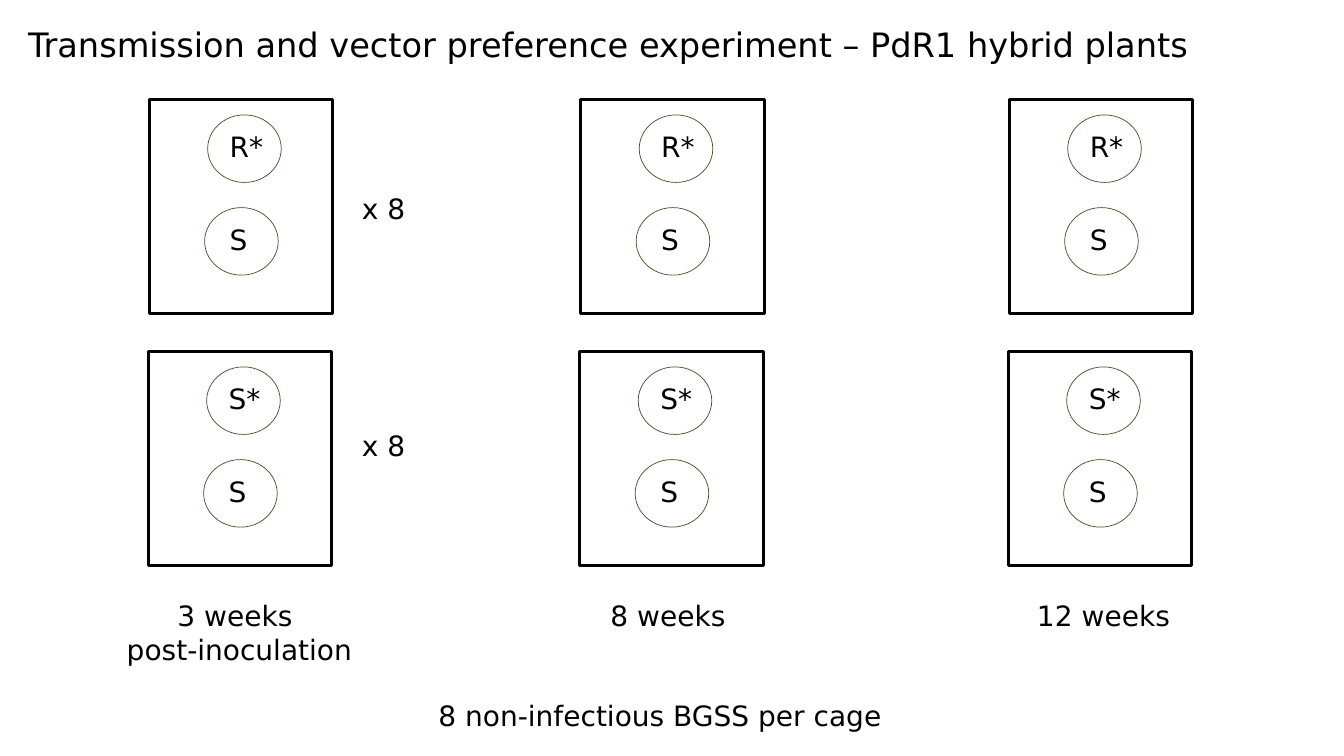
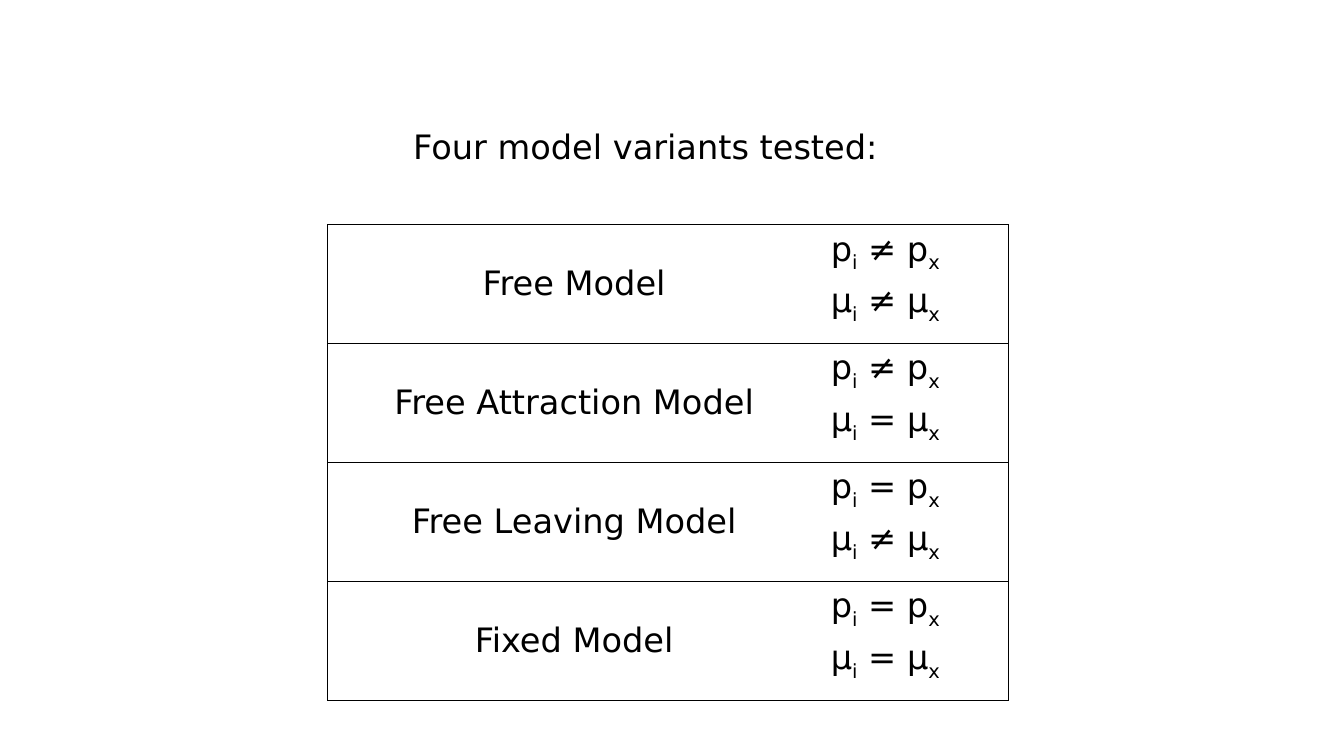
from dataclasses import dataclass

from lxml.etree import SubElement
from pptx import Presentation
from pptx.dml.color import RGBColor
from pptx.enum.shapes import MSO_SHAPE
from pptx.enum.text import MSO_ANCHOR, MSO_AUTO_SIZE, PP_ALIGN
from pptx.oxml import parse_xml
from pptx.oxml.ns import nsdecls, qn
from pptx.util import Inches, Pt


@dataclass(frozen=True)
class Theme:
    font: str = "DejaVu Sans"
    ink: str = "000000"
    leaf: str = "385723"
    head: int = 24
    body: int = 20
    frame: float = 2.25
    ring: float = 0.5
    rule: int = 1


LOOK = Theme()


# Shared helpers
def add_run(para, text, size, sub=False):
    run = para.add_run()
    run.text = text
    run.font.name = LOOK.font
    run.font.size = Pt(size)
    run.font.color.rgb = RGBColor.from_string(LOOK.ink)
    if sub:
        run.font.size = Pt(size)
        run._r.get_or_add_rPr().set("baseline", "-25000")


def add_text(slide, box, lines, size=LOOK.body, align=PP_ALIGN.LEFT):
    frame = slide.shapes.add_textbox(*map(Inches, box)).text_frame
    frame.word_wrap = False
    frame.auto_size = MSO_AUTO_SIZE.SHAPE_TO_FIT_TEXT
    for row, line in enumerate(lines):
        para = frame.add_paragraph() if row else frame.paragraphs[0]
        para.alignment = align
        add_run(para, line, size)


def add_title(slide, box, text):
    add_text(slide, box, [text], LOOK.head)


def add_shape(slide, kind, box, color, width):
    shape = slide.shapes.add_shape(kind, *map(Inches, box))
    shape.shadow.inherit = False
    shape.fill.background()
    shape.line.color.rgb = RGBColor.from_string(color)
    shape.line.width = Pt(width)


# Cage with an infected plant above a healthy one
def draw_cage(slide, left, top, sick):
    add_shape(slide, MSO_SHAPE.RECTANGLE, (left, top, 1.82, 2.12),
              LOOK.ink, LOOK.frame)
    plants = [(sick, 0.58, 0.15, 0.58), ("S", 0.55, 1.07, 0.39)]
    for name, dx, dy, wide in plants:
        add_text(slide, (left + 0.7, top + dy + 0.1, wide, 0.44), [name])
        add_shape(slide, MSO_SHAPE.OVAL, (left + dx, top + dy, 0.73, 0.67),
                  LOOK.leaf, LOOK.ring)


# Slide of cages: one column per date, one row per infected plant
def draw_trial(slide):
    add_title(slide, (0.18, 0.19, 11.9, 0.5),
              "Transmission and vector preference experiment – "
              "PdR1 hybrid plants")
    dates = [
        (1.48, -0.33, 2.45, ["3 weeks ", "post-inoculation"]),
        (5.76, 0.19, 1.35, ["8 weeks"]),
        (10.01, 0.17, 1.53, ["12 weeks"]),
    ]
    for left, shift, wide, lines in dates:
        for row, sick in enumerate(["R*", "S*"]):
            draw_cage(slide, left - 0.01 * row, 0.99 + 2.5 * row, sick)
        add_text(slide, (left + shift, 5.89, wide, 0.44 * len(lines)),
                 lines, align=PP_ALIGN.CENTER)
    for top in (1.85, 4.2):
        add_text(slide, (3.49, top, 0.64, 0.44), ["x 8"])
    add_text(slide, (4.25, 6.88, 4.76, 0.44),
             ["8 non-infectious BGSS per cage"])


# Cell edges: a rule on the named sides, nothing on the rest
def set_edges(cell, sides):
    props = cell._tc.get_or_add_tcPr()
    for spot, side in enumerate("LRTB"):
        line = parse_xml(f"<a:ln{side} {nsdecls('a')}/>")
        if side in sides:
            line.set("w", str(Pt(LOOK.rule)))
            fill = SubElement(line, qn("a:solidFill"))
            SubElement(fill, qn("a:srgbClr")).set("val", LOOK.ink)
        else:
            SubElement(line, qn("a:noFill"))
        props.insert(spot, line)


# Model table: name, then how the two rates compare
def draw_table(slide, box, models):
    table = slide.shapes.add_table(len(models), 2, *map(Inches, box)).table
    table.first_row = table.horz_banding = False
    for col, wide in zip(table.columns, (4.89, 1.86)):
        col.width = Inches(wide)
    for row, (name, signs) in enumerate(models):
        label, rates = table.cell(row, 0), table.cell(row, 1)
        for cell, sides in ((label, "LTB"), (rates, "RTB")):
            cell.fill.background()
            set_edges(cell, sides)
        label.vertical_anchor = MSO_ANCHOR.MIDDLE
        para = label.text_frame.paragraphs[0]
        para.alignment = PP_ALIGN.CENTER
        add_run(para, name, LOOK.head)
        frame = rates.text_frame
        for line, (rate, sign) in enumerate(zip("pμ", signs)):
            para = frame.add_paragraph() if line else frame.paragraphs[0]
            if line:
                para.space_before = Pt(5.5)
            for text, sub in ((rate, False), ("i", True),
                              (f" {sign} {rate}", False), ("x", True)):
                add_run(para, text, LOOK.head, sub)


# Slide of model variants
def draw_models(slide):
    draw_table(slide, (3.25, 2.23, 6.75, 4.72), [
        ("Free Model", "≠≠"),
        ("Free Attraction Model", "≠="),
        ("Free Leaving Model", "=≠"),
        ("Fixed Model", "=="),
    ])
    add_title(slide, (4, 1.2, 4.87, 0.5), "Four model variants tested:")


def main():
    deck = Presentation()
    deck.slide_width, deck.slide_height = Inches(13.33), Inches(7.5)
    for draw in (draw_trial, draw_models):
        draw(deck.slides.add_slide(deck.slide_layouts[6]))
    deck.save("out.pptx")


if __name__ == "__main__":
    main()
